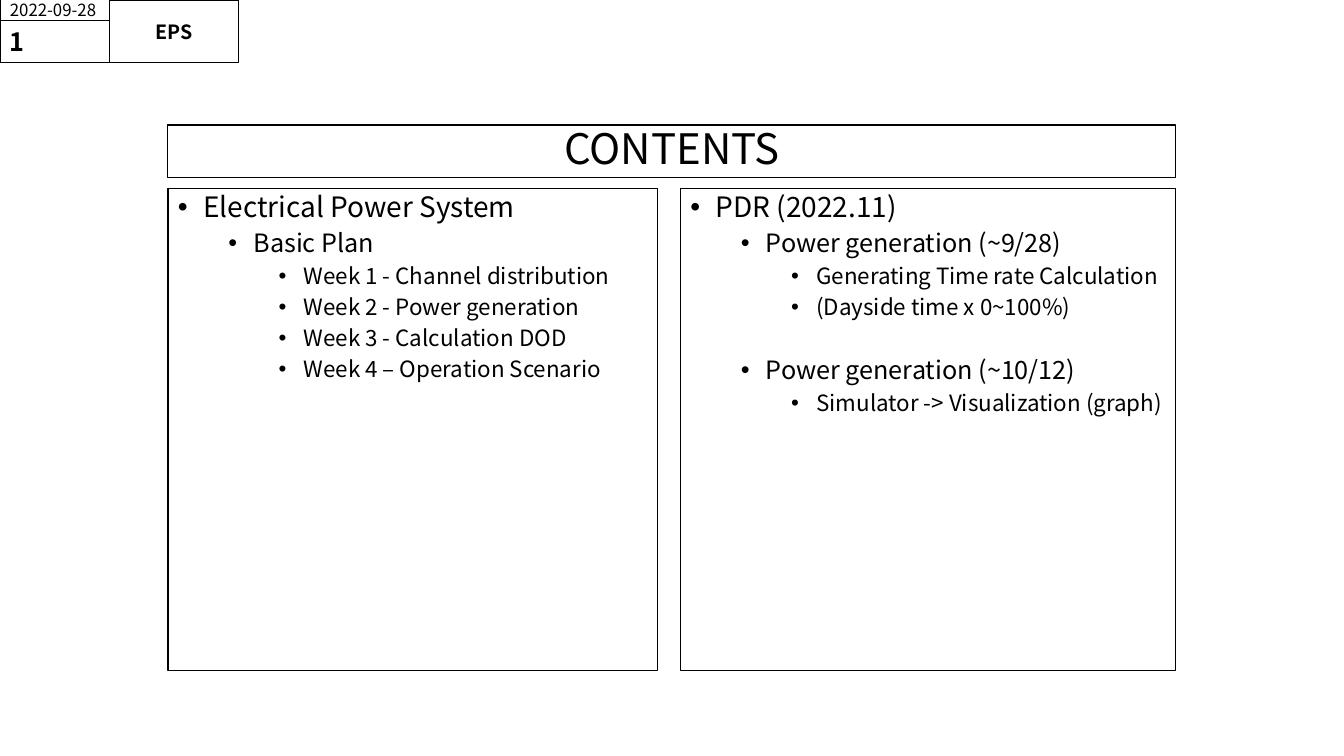
from lxml.etree import SubElement
from pptx import Presentation
from pptx.dml.color import RGBColor
from pptx.enum.shapes import MSO_SHAPE as Shape
from pptx.enum.text import MSO_ANCHOR as Anchor, PP_ALIGN as Align
from pptx.oxml.ns import qn
from pptx.util import Inches, Pt

BLACK = RGBColor(0, 0, 0)
FONT = "Noto Sans CJK KR"
WIDTH, HEIGHT = Inches(13.33), Inches(7.5)
COLUMN, ROW = WIDTH / 160, HEIGHT / 120
MARGIN, CONTENT_WIDTH = 20, 120
TAG_WIDTH, DATE_ROWS, TAG_ROWS = 13, 3.2, 9.92
PANEL_TOP, PANEL_ROWS = 29.92, 76.48
LEVEL_SIZES = (20, 18, 16)
SECTION_GAP = 27

PLAN = [
    (0, "Electrical Power System"),
    (1, "Basic Plan"),
    (2, "Week 1 - Channel distribution"),
    (2, "Week 2 - Power generation"),
    (2, "Week 3 - Calculation DOD"),
    (2, "Week 4 – Operation Scenario"),
]
REVIEW = [
    (0, "PDR (2022.11)"),
    (1, "Power generation (~9/28)"),
    (2, "Generating Time rate Calculation"),
    (2, "(Dayside time x 0~100%)"),
    (1, "Power generation (~10/12)"),
    (2, "Simulator -> Visualization (graph)"),
]


def add_box(page, column, row, columns, rows, anchor=Anchor.MIDDLE):
    """Draw an outlined rectangle on the grid and return its text frame."""
    box = page.shapes.add_shape(
        Shape.RECTANGLE, round(column * COLUMN), round(row * ROW),
        round(columns * COLUMN), round(rows * ROW))
    box.shadow.inherit = False
    box.fill.background()
    box.line.color.rgb = BLACK
    box.line.width = Pt(0.75)
    frame = box.text_frame
    frame.word_wrap = True
    frame.vertical_anchor = anchor
    return frame


def write(para, text, size, bold=False, align=Align.LEFT, spacing=1.0, before=0):
    """Put formatted text into a paragraph."""
    para.alignment = align
    para.line_spacing = spacing
    para.space_before = Pt(before)
    span = para.add_run()
    span.text = text
    span.font.name = FONT
    span.font.size = Pt(size)
    span.font.bold = bold
    span.font.color.rgb = BLACK


def add_bullet(para, level):
    """Give a paragraph a bullet and the hanging indent of its level."""
    para.level = level
    properties = para._p.get_or_add_pPr()
    properties.set("marL", str(Inches(0.25 + 0.5 * level)))
    properties.set("indent", str(Inches(-0.25)))
    SubElement(properties, qn("a:buFont"), typeface="Arial")
    SubElement(properties, qn("a:buChar"), char="•")


def add_label(page, text, *place, inset=None, **style):
    """Add a box with one line of text, optionally with its own insets."""
    frame = add_box(page, *place)
    if inset is not None:
        frame.margin_left = frame.margin_right = Inches(inset)
        frame.margin_top = frame.margin_bottom = 0
    write(frame.paragraphs[0], text, **style)


def add_outline(page, items, column, columns):
    """Add a panel with a bulleted outline, parting its later sections."""
    frame = add_box(page, column, PANEL_TOP, columns, PANEL_ROWS, Anchor.TOP)
    previous = None
    for level, text in items:
        if previous is None:
            para, before = frame.paragraphs[0], 0
        else:
            para = frame.add_paragraph()
            before = SECTION_GAP if level < previous else 5
        add_bullet(para, level)
        write(para, text, LEVEL_SIZES[level], spacing=0.9, before=before)
        previous = level


def main():
    """Build the contents slide."""
    deck = Presentation()
    deck.slide_width, deck.slide_height = WIDTH, HEIGHT
    page = deck.slides.add_slide(deck.slide_layouts[6])
    add_label(page, "CONTENTS", MARGIN, 19.84, CONTENT_WIDTH, 8.32,
              inset=0.1, size=30, align=Align.CENTER, spacing=0.9)
    add_label(page, "2022-09-28", 0, 0, TAG_WIDTH, DATE_ROWS, size=12)
    add_label(page, "EPS", TAG_WIDTH, 0, 15.4, TAG_ROWS,
              inset=0, size=14, bold=True, align=Align.CENTER)
    add_label(page, "1", 0, DATE_ROWS, TAG_WIDTH, TAG_ROWS - DATE_ROWS,
              size=18, bold=True)
    add_outline(page, REVIEW, 81, 59)
    add_outline(page, PLAN, MARGIN, 58.3)
    deck.save("out.pptx")


if __name__ == "__main__":
    main()
